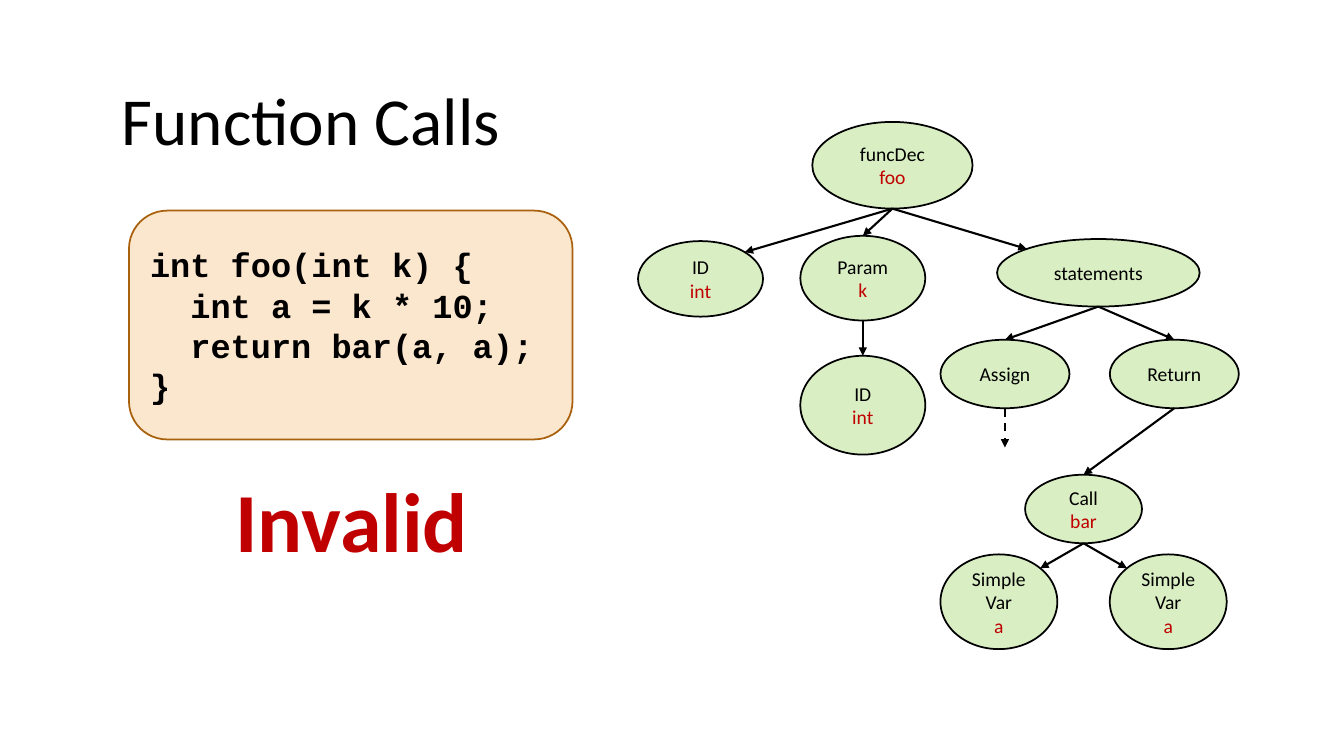
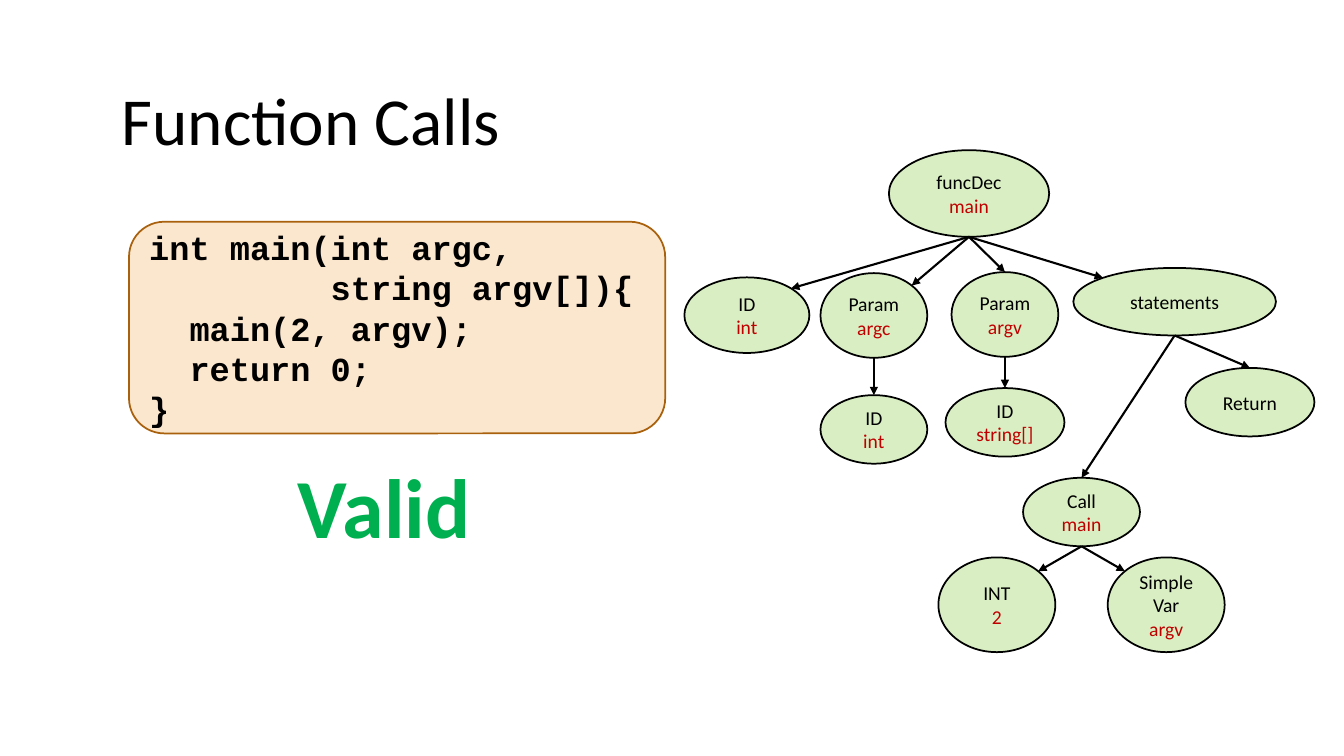
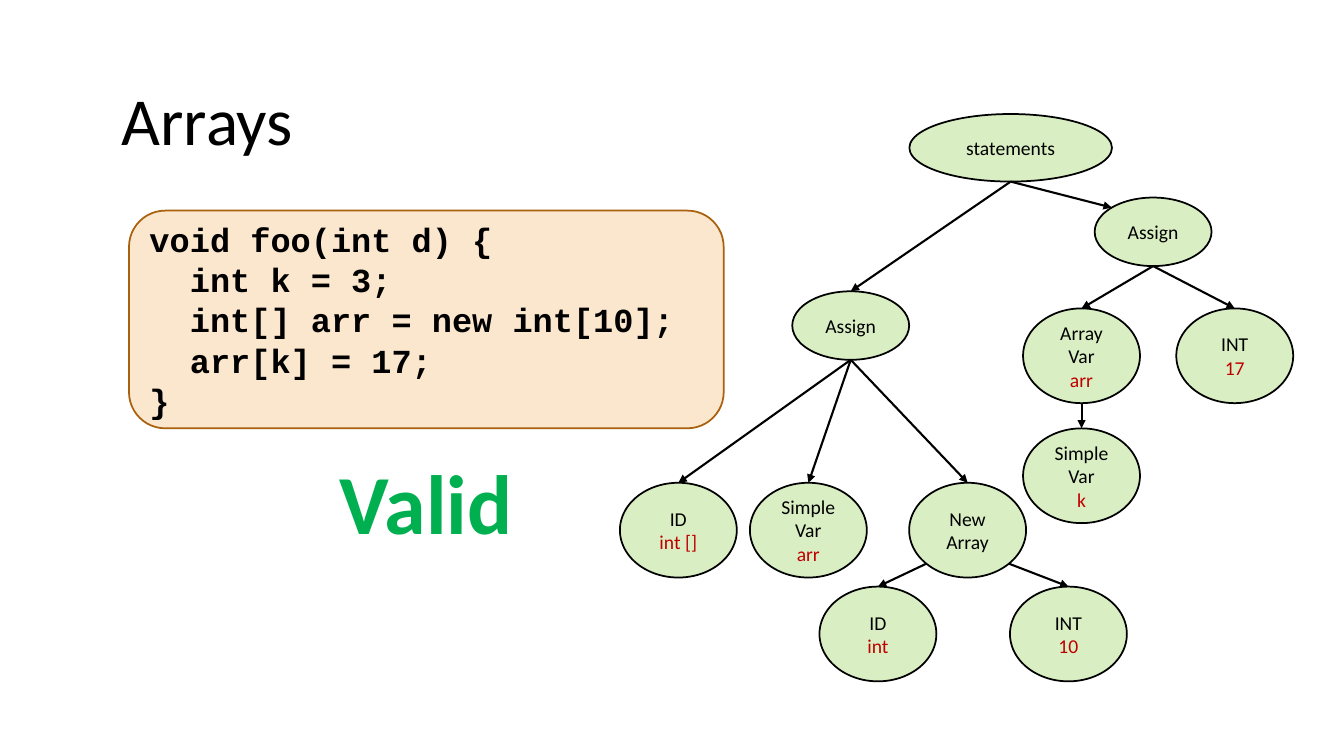
from lxml import etree
from pptx import Presentation
from pptx import util as u
from pptx.dml.color import RGBColor
from pptx.enum import dml, shapes, text
from pptx.oxml.ns import qn

COLUMNS = 40
WIDTH, HEIGHT = u.Inches(13.333), u.Inches(7.5)
CELL = WIDTH / COLUMNS

BLACK, RED, GREEN = "000000", "C00000", "00B050"
CODE_FILL, CODE_EDGE, NODE_FILL = "FBE6CE", "A9610D", "92D050"
BODY_FONT, CODE_FONT = "Calibri", "Courier New"

DIAGONAL = 0.7071
SITES = {
    "top": (0, 0, -1),
    "top left": (1, -DIAGONAL, -DIAGONAL),
    "bottom left": (3, -DIAGONAL, DIAGONAL),
    "bottom": (4, 0, 1),
    "bottom right": (5, DIAGONAL, DIAGONAL),
    "top right": (7, DIAGONAL, -DIAGONAL),
}

ROOT, WIDE, STEP = (4.77, 2.58), (6.03, 2.01), (3.84, 2.04)
CALL, LEAF, TYPE = (3.48, 2.04), (3.48, 2.82), (3.72, 2.25)
PARAM, PARAM_TYPE = (3.72, 2.52), (3.72, 2.94)
SLIM_PARAM, SLIM_TYPE, ARRAY_TYPE = (3.18, 2.52), (3.18, 2.04), (3.54, 2.04)


def grid(*cells):
    """Turn grid cells into slide lengths."""
    return [u.Emu(round(cell * CELL)) for cell in cells]


def colour(hex_string):
    """Make a colour from a hex string."""
    return RGBColor.from_string(hex_string)


def write(frame, lines, size, font=BODY_FONT, bold=False, align=text.PP_ALIGN.LEFT):
    """Write (words, colour) lines, one paragraph each."""
    frame.word_wrap = True
    for index, (words, ink) in enumerate(lines):
        paragraph = frame.add_paragraph() if index else frame.paragraphs[0]
        paragraph.alignment = align
        run = paragraph.add_run()
        run.text = words
        run.font.size = u.Pt(size)
        run.font.name = font
        run.font.bold = bold
        run.font.color.rgb = colour(ink)


def add_text(slide, box, words, size, ink=BLACK, **style):
    """Add a text box holding one line."""
    frame = slide.shapes.add_textbox(*grid(*box)).text_frame
    frame.auto_size = text.MSO_AUTO_SIZE.SHAPE_TO_FIT_TEXT
    write(frame, [(words, ink)], size, **style)


def add_panel(slide, preset, box, fill, edge):
    """Add a filled, outlined shape with middle-anchored text."""
    panel = slide.shapes.add_shape(preset, *grid(*box))
    panel.shadow.inherit = False
    panel.fill.solid()
    panel.fill.fore_color.rgb = colour(fill)
    panel.line.color.rgb = colour(edge)
    panel.line.width = u.Pt(1.25)
    panel.text_frame.vertical_anchor = text.MSO_ANCHOR.MIDDLE
    return panel


def add_code(slide, box, code):
    """Add the rounded code panel."""
    panel = add_panel(slide, shapes.MSO_SHAPE.ROUNDED_RECTANGLE, box, CODE_FILL, CODE_EDGE)
    lines = [(line, BLACK) for line in code.split("\n")]
    write(panel.text_frame, lines, 24, font=CODE_FONT, bold=True)


def add_node(slide, size, column, row, label, value=None):
    """Add a tree node centred on a grid point, with its value in red."""
    width, height = size
    box = (column - width / 2, row - height / 2, width, height)
    node = add_panel(slide, shapes.MSO_SHAPE.OVAL, box, NODE_FILL, BLACK)
    tint = node.fill._xPr.find(qn("a:solidFill"))[0]
    etree.SubElement(tint, qn("a:alpha"), val="34000")
    lines = [(word, BLACK) for word in label.split()]
    if value:
        lines.append((value, RED))
    write(node.text_frame, lines, 14, align=text.PP_ALIGN.CENTER)
    return node


def site_point(node, site):
    """Find the place of a connection site on a node's outline."""
    _, across, down = SITES[site]
    return (u.Emu(round(node.left + node.width * (1 + across) / 2)),
            u.Emu(round(node.top + node.height * (1 + down) / 2)))


def add_arrow(slide, start, end):
    """Draw a straight arrow between two points."""
    arrow = slide.shapes.add_connector(shapes.MSO_CONNECTOR.STRAIGHT, *start, *end)
    arrow.line.color.rgb = colour(BLACK)
    arrow.line.width = u.Pt(1.5)
    etree.SubElement(arrow.line._get_or_add_ln(), qn("a:tailEnd"), type="triangle")
    etree.SubElement(arrow._element.spPr, qn("a:effectLst"))
    return arrow


def add_branch(slide, parent, child, end_site="top", start_site="bottom"):
    """Join a parent node to its child with an arrow."""
    arrow = add_arrow(slide, site_point(parent, start_site), site_point(child, end_site))
    joints = arrow._element.nvCxnSpPr.cNvCxnSpPr
    for tag, node, site in (("a:stCxn", parent, start_site), ("a:endCxn", child, end_site)):
        etree.SubElement(joints, qn(tag), id=str(node.shape_id), idx=str(SITES[site][0]))


def add_tree(slide, nodes, branches):
    """Draw named nodes and the branches between them."""
    placed = {name: add_node(slide, *node) for name, node in nodes.items()}
    for parent, child, *sites in branches:
        add_branch(slide, placed[parent], placed[child], *sites)
    return placed


def add_example(deck, title, code_box, code, verdict, verdict_at, ink):
    """Add a slide with title, code panel and verdict."""
    slide = deck.slides.add_slide(deck.slide_layouts[6])
    add_text(slide, (3.33, 2.19, 33.27, 2.73), title, 48)
    add_text(slide, (*verdict_at, 9.18, 3.33), verdict, 60, ink,
             bold=True, align=text.PP_ALIGN.CENTER)
    add_code(slide, code_box, code)
    return slide


def add_invalid_call(deck):
    """Build the invalid function call slide."""
    slide = add_example(
        deck, "Function Calls", (3.84, 6.27, 13.2, 6.81),
        "int foo(int k) {\n  int a = k * 10;\n  return bar(a, a);\n}",
        "Invalid", (5.88, 13.8), RED)
    nodes = {
        "function": (ROOT, 26.56, 4.92, "funcDec", "foo"),
        "result": (TYPE, 20.85, 8.3, "ID", "int"),
        "k": (PARAM, 25.68, 8.28, "Param", "k"),
        "k type": (PARAM_TYPE, 25.68, 12.06, "ID", "int"),
        "body": (WIDE, 32.69, 8.12, "statements"),
        "assign": (STEP, 29.91, 11.13, "Assign"),
        "return": (STEP, 34.95, 11.13, "Return"),
        "call": (CALL, 32.25, 15.15, "Call", "bar"),
        "first": (LEAF, 29.73, 17.91, "Simple Var", "a"),
        "second": (LEAF, 34.77, 17.91, "Simple Var", "a"),
    }
    placed = add_tree(slide, nodes, [
        ("function", "result", "top right"), ("function", "k"),
        ("function", "body", "top left"), ("k", "k type"),
        ("body", "assign"), ("body", "return"), ("return", "call"),
        ("call", "first", "top right"), ("call", "second", "top left"),
    ])
    left, top = site_point(placed["assign"], "bottom")
    omitted = add_arrow(slide, (left, top), (left, top + grid(1.17)[0]))
    omitted.line.dash_style = dml.MSO_LINE.DASH


def add_valid_call(deck):
    """Build the valid function call slide."""
    slide = add_example(
        deck, "Function Calls", (3.84, 6.6, 15.96, 6.3),
        "int main(int argc,\n         string argv[]){\n  main(2, argv);\n  return 0;\n}",
        "Valid", (6.84, 13.38), GREEN)
    nodes = {
        "function": (ROOT, 28.84, 5.76, "funcDec", "main"),
        "result": (TYPE, 22.23, 9.38, "ID", "int"),
        "argc": (SLIM_PARAM, 26.01, 9.39, "Param", "argc"),
        "argc type": (SLIM_TYPE, 26.01, 12.78, "ID", "int"),
        "argv": (SLIM_PARAM, 29.91, 9.36, "Param", "argv"),
        "argv type": (ARRAY_TYPE, 29.91, 12.57, "ID", "string[]"),
        "body": (WIDE, 34.96, 8.98, "statements"),
        "return": (STEP, 37.2, 11.97, "Return"),
        "call": (CALL, 32.19, 15.24, "Call", "main"),
        "first": (LEAF, 29.67, 18, "INT", "2"),
        "second": (LEAF, 34.71, 18, "Simple Var", "argv"),
    }
    add_tree(slide, nodes, [
        ("function", "result", "top right"), ("function", "argc", "top right"),
        ("function", "argv"), ("function", "body", "top left"),
        ("argc", "argc type"), ("argv", "argv type"),
        ("body", "call"), ("body", "return"),
        ("call", "first", "top right"), ("call", "second", "top left"),
    ])


def add_arrays(deck):
    """Build the arrays slide."""
    slide = add_example(
        deck, "Arrays", (3.84, 6.27, 17.7, 6.48),
        "void foo(int d) {\n  int k = 3;\n  int[] arr = new int[10];\n  arr[k] = 17;\n}",
        "Valid", (8.1, 13.26), GREEN)
    nodes = {
        "body": (WIDE, 30.08, 4.4, "statements"),
        "create": (CALL, 25.32, 9.69, "Assign"),
        "arr type": (LEAF, 20.19, 15.78, "ID", "int []"),
        "arr": (LEAF, 24.06, 15.78, "Simple Var", "arr"),
        "new": (LEAF, 28.8, 15.78, "New Array"),
        "item type": (LEAF, 26.13, 18.87, "ID", "int"),
        "length": (LEAF, 31.8, 18.87, "INT", "10"),
        "store": (CALL, 34.32, 6.9, "Assign"),
        "item": (LEAF, 32.19, 10.59, "Array Var", "arr"),
        "index": (LEAF, 32.19, 14.16, "Simple Var", "k"),
        "value": (LEAF, 36.75, 10.59, "INT", "17"),
    }
    add_tree(slide, nodes, [
        ("body", "create"), ("body", "store", "top left"),
        ("create", "arr type"), ("create", "arr"), ("create", "new"),
        ("new", "item type", "top", "bottom left"),
        ("new", "length", "top", "bottom right"),
        ("store", "item"), ("store", "value"), ("item", "index"),
    ])


def main():
    """Build and save the deck."""
    deck = Presentation()
    deck.slide_width, deck.slide_height = WIDTH, HEIGHT
    add_invalid_call(deck)
    add_valid_call(deck)
    add_arrays(deck)
    deck.save("out.pptx")


if __name__ == "__main__":
    main()
